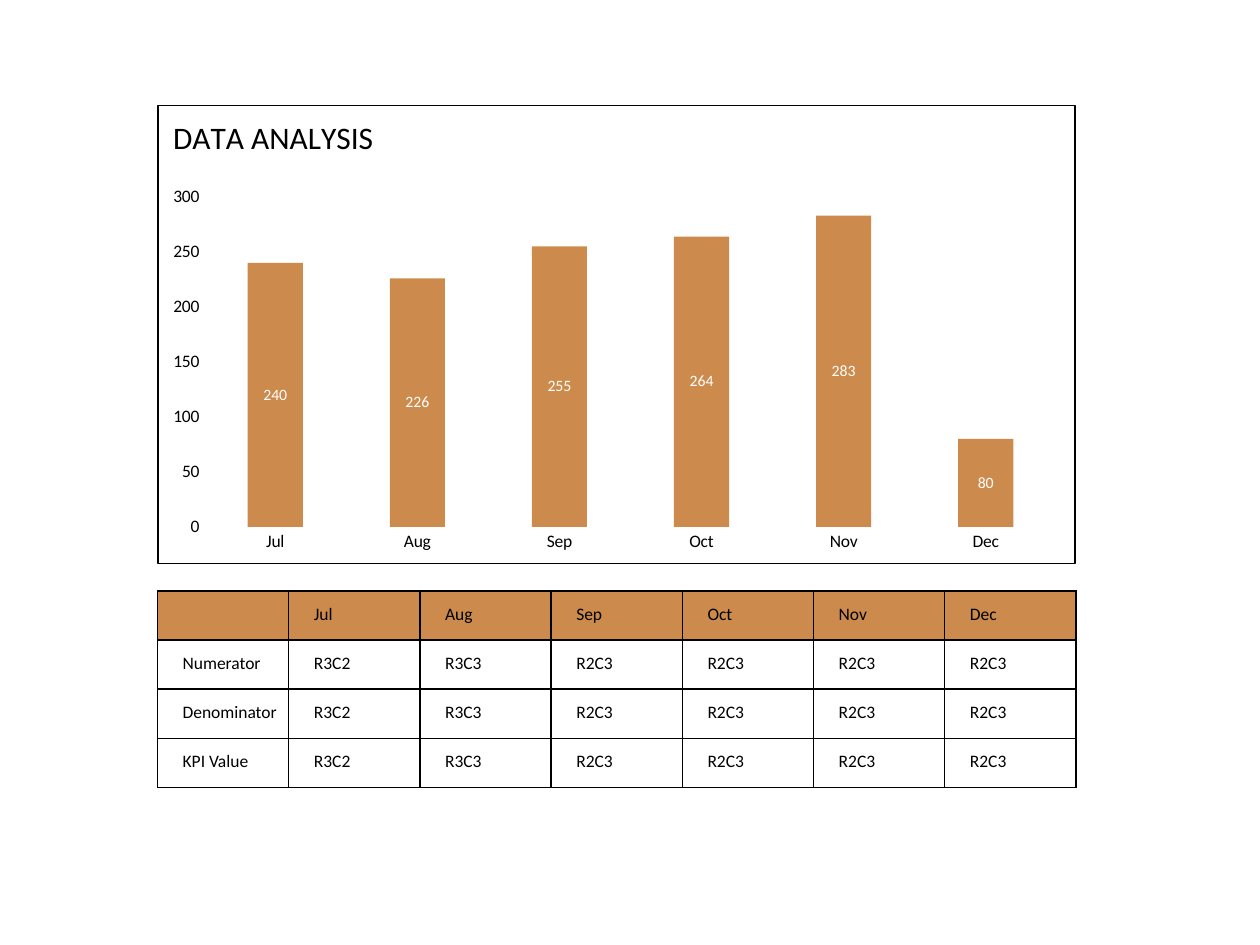
from dataclasses import dataclass
from lxml.etree import SubElement
from pptx import Presentation
from pptx.chart.data import CategoryChartData
from pptx.dml.color import RGBColor as RGB
from pptx.enum.chart import XL_CHART_TYPE as ChartType
from pptx.enum.chart import XL_LABEL_POSITION as LabelPos
from pptx.enum.chart import XL_TICK_MARK as Tick
from pptx.enum.text import MSO_ANCHOR as Anchor
from pptx.oxml import parse_xml
from pptx.oxml.ns import nsdecls, qn
from pptx.util import Inches, Pt


@dataclass(frozen=True)
class Theme:
    font: str = "Calibri"
    ink: str = "000000"
    label: str = "FFFFFF"
    accent: str = "BA610A"
    accent_alpha: int = 73
    title_size: int = 18
    body_size: int = 10
    label_size: int = 9


T = Theme()
WIDTH, HEIGHT = 10, 7.5
LEFT, CONTENT_W = 1.25, 7.29
CHART_TOP, CHART_H = 0.83, 3.65
TABLE_TOP, ROW_H = 4.69, 0.39
INSET = 0.1

MONTHS = ["Jul", "Aug", "Sep", "Oct", "Nov", "Dec"]
VALUES = [240, 226, 255, 264, 283, 80]
ENTRIES = ["R3C2", "R3C3"] + ["R2C3"] * 4
MEASURES = ["Numerator", "Denominator", "KPI Value"]


def set_attrs(target, **values):
    for name, value in values.items():
        setattr(target, name, value)


def style_font(font, size, color=T.ink):
    set_attrs(font, name=T.font, size=Pt(size), bold=False)
    font.color.rgb = RGB.from_string(color)


def fill_accent(fill, element):
    """Fill with the accent colour, partly transparent."""
    fill.solid()
    fill.fore_color.rgb = RGB.from_string(T.accent)
    color = next(element.iter(qn("a:srgbClr")))
    SubElement(color, qn("a:alpha"), val=str(T.accent_alpha * 1000))


def place(element, index, inner=False, **shares):
    """Give a chart part a fixed place, in shares of the chart."""
    for old in element.findall(qn("c:layout")):
        element.remove(old)
    target = '<c:layoutTarget val="inner"/>' if inner else ""
    modes = "".join(f'<c:{k}Mode val="edge"/>' for k in "xy")
    sizes = "".join(f'<c:{k} val="{v}"/>' for k, v in shares.items())
    element.insert(index, parse_xml(
        f'<c:layout {nsdecls("c")}><c:manualLayout>{target}{modes}{sizes}'
        '</c:manualLayout></c:layout>'))


def line_xml(tag):
    return parse_xml(
        f'<a:{tag} {nsdecls("a")} w="{Pt(1)}"><a:solidFill>'
        f'<a:srgbClr val="{T.ink}"/></a:solidFill></a:{tag}>')


def add_bar_chart(s):
    data = CategoryChartData()
    data.categories = MONTHS
    data.add_series("Series 1", VALUES)
    box = map(Inches, (LEFT, CHART_TOP, CONTENT_W, CHART_H))
    chart = s.shapes.add_chart(ChartType.COLUMN_CLUSTERED, *box, data).chart
    style_font(chart.font, T.body_size)
    chart.has_legend = False

    # Title
    chart.has_title = True
    tf = chart.chart_title.text_frame
    tf.text = "DATA ANALYSIS"
    style_font(tf.paragraphs[0].runs[0].font, T.title_size)
    place(chart.chart_title._element, 1, x=0.01, y=0.01)

    # Axes
    for axis in (chart.category_axis, chart.value_axis):
        set_attrs(axis, major_tick_mark=Tick.NONE, minor_tick_mark=Tick.NONE,
                  has_major_gridlines=False)
        axis.format.line.fill.background()
    set_attrs(chart.value_axis, minimum_scale=0, maximum_scale=300, major_unit=50)

    # Columns and labels
    plot = chart.plots[0]
    set_attrs(plot, gap_width=158, vary_by_categories=False)
    series = plot.series[0]
    fill_accent(series.format.fill, series._element)
    labels = series.data_labels
    set_attrs(labels, show_value=True, position=LabelPos.CENTER)
    style_font(labels.font, T.label_size, T.label)

    # Plot area and frame
    space = chart._chartSpace
    place(next(space.iter(qn("c:plotArea"))), 0, inner=True,
          x=0.05, y=0.2, w=0.93, h=0.72)
    frame = parse_xml(f'<c:spPr {nsdecls("c", "a")}><a:noFill/></c:spPr>')
    frame.append(line_xml("ln"))
    space.find(qn("c:chart")).addnext(frame)


def format_cell(cell, text, header):
    set_attrs(cell, margin_left=Inches(INSET), margin_top=Inches(INSET),
              margin_right=0, margin_bottom=0, vertical_anchor=Anchor.TOP)
    p = cell.text_frame.paragraphs[0]
    p._p.get_or_add_pPr().set("marL", str(Inches(INSET)))
    style_font(p.font, T.body_size)
    if text:
        r = p.add_run()
        r.text = text
        style_font(r.font, T.body_size)
    if header:
        fill_accent(cell.fill, cell._tc.tcPr)
    else:
        cell.fill.background()
    for i, side in enumerate("LRTB"):
        cell._tc.tcPr.insert(i, line_xml(f"ln{side}"))


def add_kpi_table(s):
    rows = [["", *MONTHS]] + [[name, *ENTRIES] for name in MEASURES]
    n_rows, n_cols = len(rows), len(rows[0])
    box = map(Inches, (LEFT, TABLE_TOP, CONTENT_W, ROW_H * n_rows))
    table = s.shapes.add_table(n_rows, n_cols, *box).table
    set_attrs(table, first_row=False, horz_banding=False)
    for i, row in enumerate(rows):
        for j, text in enumerate(row):
            format_cell(table.cell(i, j), text, header=i == 0)


def main():
    prs = Presentation()
    set_attrs(prs, slide_width=Inches(WIDTH), slide_height=Inches(HEIGHT))
    s = prs.slides.add_slide(prs.slide_layouts[6])
    add_bar_chart(s)
    add_kpi_table(s)
    prs.save("out.pptx")


main()
